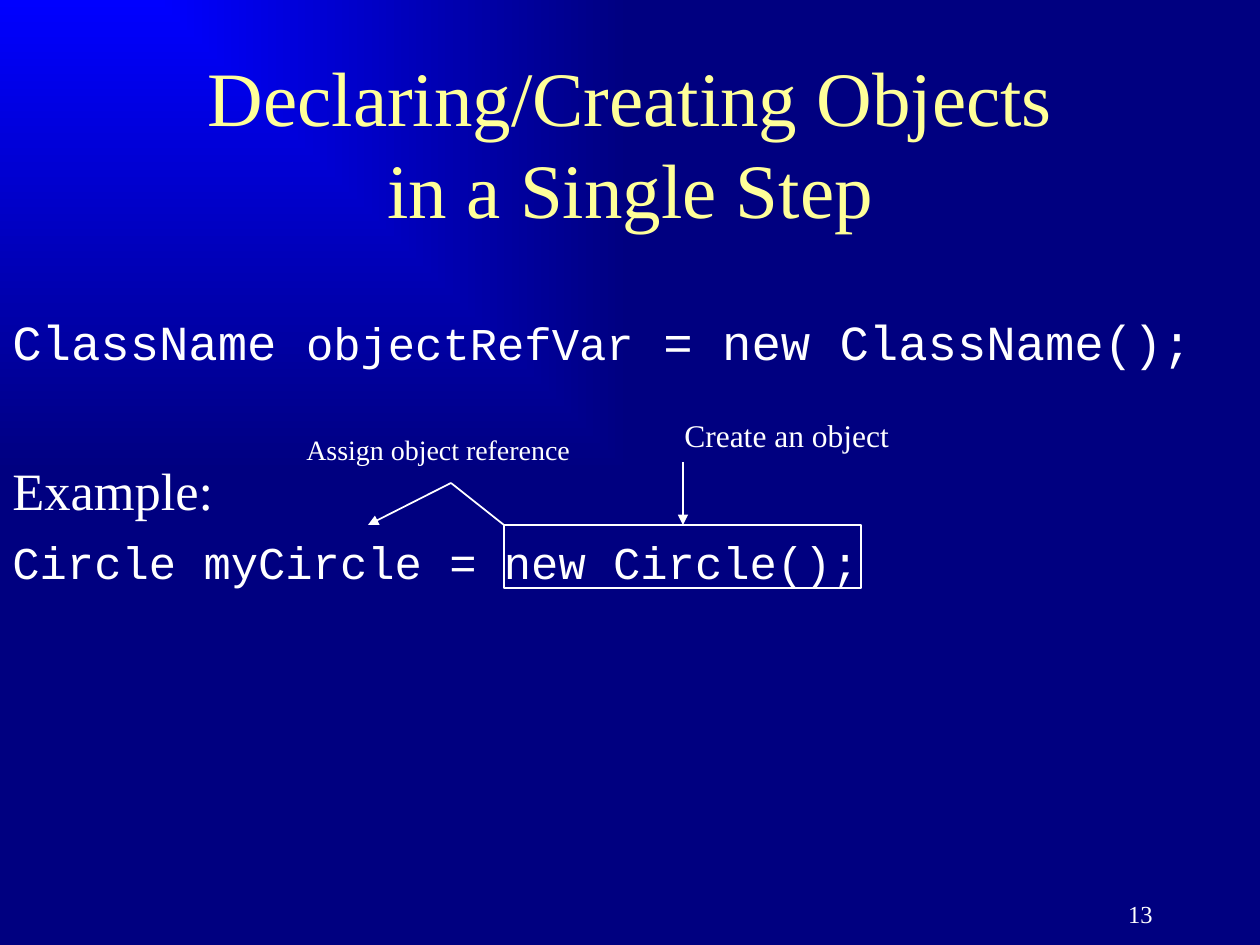
import pptx
import pptx.dml.color
import pptx.enum.shapes
import pptx.enum.text
import pptx.oxml
import pptx.oxml.ns
import pptx.util
from lxml import etree

EMU_PER_PX = 914400 / 126
COLORS = {"text": "FFFFFF", "title": "FFFF99", "glow": "0000FF", "base": "000080"}
SERIF = "Times New Roman"
MONO = "Courier New"
ALIGN = pptx.enum.text.PP_ALIGN
ANCHOR = pptx.enum.text.MSO_ANCHOR


def px(*lengths):
    return [pptx.util.Emu(round(length * EMU_PER_PX)) for length in lengths]


def color(name):
    return pptx.dml.color.RGBColor.from_string(COLORS[name])


def add_xml(parent, tag, **attributes):
    return etree.SubElement(parent, pptx.oxml.ns.qn(tag), attributes)


class SlideBuilder:
    """Holds the current slide and the style of its elements."""

    def __init__(self, slide):
        self.slide = slide

    def background(self):
        """Gradient spreading from the top left corner."""
        fill = self.slide.background.fill
        fill.gradient()
        for stop, name in zip(fill.gradient_stops, ("glow", "base")):
            stop.color.rgb = color(name)
        gradient = self.slide.element.find(".//" + pptx.oxml.ns.qn("a:gradFill"))
        gradient.remove(gradient.find(pptx.oxml.ns.qn("a:lin")))
        spread = add_xml(gradient, "a:path", path="rect")
        add_xml(spread, "a:fillToRect", r="100000", b="100000")

    def format_run(self, run, size, font=SERIF, color_name="text"):
        run.font.size = pptx.util.Pt(size)
        run.font.name = font
        run.font.color.rgb = color(color_name)

    def title(self, text, box):
        shape = self.slide.shapes.title
        shape.left, shape.top, shape.width, shape.height = px(*box)
        shape.text_frame.text = text
        shape.text_frame.vertical_anchor = ANCHOR.MIDDLE
        paragraph = shape.text_frame.paragraphs[0]
        paragraph.alignment = ALIGN.CENTER
        for run in paragraph.runs:
            self.format_run(run, 44, color_name="title")

    def text(self, paragraphs, box, align=ALIGN.LEFT, anchor=ANCHOR.TOP):
        """Each paragraph is (space before, [(text, size, font), ...])."""
        frame = self.slide.shapes.add_textbox(*px(*box)).text_frame
        frame.word_wrap = True
        frame.vertical_anchor = anchor
        for index, (space, runs) in enumerate(paragraphs):
            paragraph = frame.add_paragraph() if index else frame.paragraphs[0]
            paragraph.alignment = align
            if space:
                paragraph.space_before = pptx.util.Pt(space)
            for text, size, font in runs:
                run = paragraph.add_run()
                run.text = text
                self.format_run(run, size, font)

    def label(self, text, size, box, **options):
        self.text([(0, [(text, size, SERIF)])], box, **options)

    def format_line(self, line):
        line.color.rgb = color("text")
        line.width = pptx.util.Pt(1)

    def frame(self, box):
        kind = pptx.enum.shapes.MSO_SHAPE.RECTANGLE
        shape = self.slide.shapes.add_shape(kind, *px(*box))
        shape.shadow.inherit = False
        shape.fill.background()
        self.format_line(shape.line)

    def line(self, start, end, arrow=False):
        kind = pptx.enum.shapes.MSO_CONNECTOR.STRAIGHT
        connector = self.slide.shapes.add_connector(kind, *px(*start, *end))
        self.format_line(connector.line)
        properties = connector.element.spPr
        if arrow:
            outline = properties.find(pptx.oxml.ns.qn("a:ln"))
            add_xml(outline, "a:tailEnd", type="triangle")
        add_xml(properties, "a:effectLst")


def main():
    presentation = pptx.Presentation()
    presentation.slide_width, presentation.slide_height = px(1260, 945)
    builder = SlideBuilder(presentation.slides.add_slide(presentation.slide_layouts[5]))

    builder.background()
    builder.label("13", 14, (903, 882, 262, 63), align=ALIGN.RIGHT, anchor=ANCHOR.MIDDLE)
    builder.title("Declaring/Creating Objects\vin a Single Step", (95, 32, 1071, 220))

    builder.text([
        (0, [("ClassName ", 28, MONO), ("objectRefVar", 26, MONO),
             (" = new ClassName();", 28, MONO)]),
        (50, [("Example:", 30, SERIF)]),
        (8, [("Circle myCircle = new Circle();", 26, MONO)]),
    ], (0, 305, 1365, 346))

    creation_corner = (504, 525)
    assignment_peak = (451, 483)
    builder.frame((*creation_corner, 357, 63))
    builder.line((683, 462), (683, 525), arrow=True)
    builder.label("Create an object", 18, (672, 410, 240, 50))
    builder.line(creation_corner, assignment_peak)
    builder.line(assignment_peak, (368, 525), arrow=True)
    builder.label("Assign object reference", 16, (294, 426, 301, 47))

    presentation.save("out.pptx")


if __name__ == "__main__":
    main()
